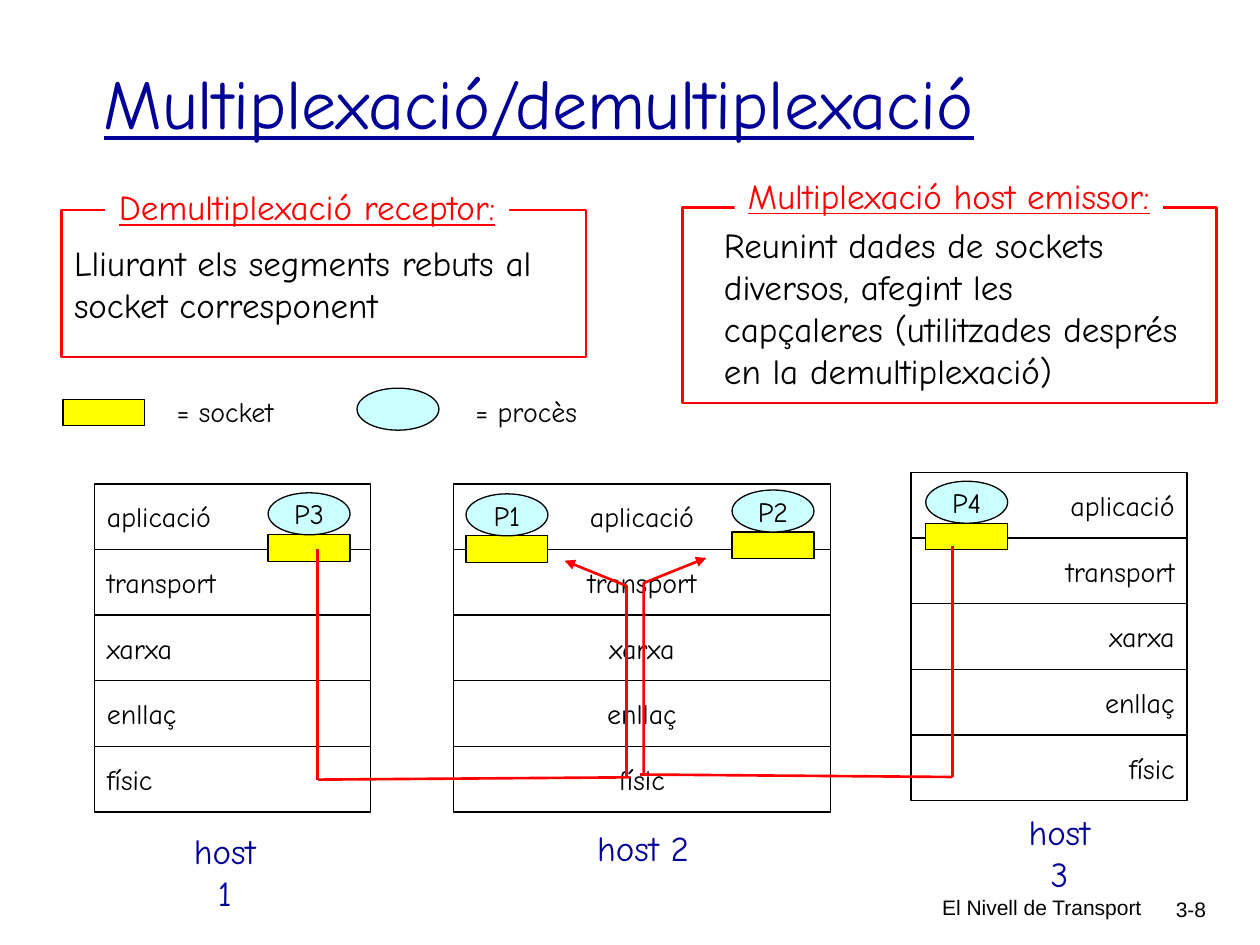
"""Build the slide on transport multiplexing and demultiplexing."""
from lxml.etree import SubElement
from pptx import Presentation
from pptx.dml.color import RGBColor
from pptx.enum.shapes import MSO_CONNECTOR as Link, MSO_SHAPE as Form
from pptx.enum.text import MSO_ANCHOR as Anchor, PP_ALIGN as Align
from pptx.oxml.ns import qn
from pptx.util import Pt

BLACK = RGBColor(0, 0, 0)
WHITE = RGBColor(255, 255, 255)
RED = RGBColor(255, 0, 0)
NAVY = RGBColor(0, 0, 153)
YELLOW = RGBColor(255, 255, 0)
CYAN = RGBColor(204, 255, 255)
FONT = "Comic Neue"

LAYERS = ["aplicació", "transport", "xarxa", "enllaç", "físic"]
ROW = 37.5
SIDE, SOCK, OVAL = 46.8, 15.2, 24

HOSTS = [
    (54, 276.5, 157.7, Align.LEFT),
    (520.6, 270, 157.7, Align.RIGHT),
    (259.2, 276.5, 215.3, Align.CENTER),
]
PROCS = [
    ("P2", 418.3, 280), ("P3", 153.2, 281.6),
    ("P4", 529, 275), ("P1", 266.3, 282.2),
]
NAMES = [
    ("host 1", 96.5, 470.2, 64), ("host 2", 334, 468.8, 67),
    ("host 3", 572.4, 459.5, 66),
]
ROUTES = [
    ((181.6, 313.8), (181.6, 445.5), (360, 444.2),
     [(358, 444.2), (358, 334.8), (322.6, 320.4)]),
    ((544.2, 312), (544.2, 444), (365.8, 442.6),
     [(367.8, 442.4), (367.8, 333.2), (403.6, 318.8)]),
]


def write(item, text, size, color=BLACK, align=Align.CENTER, wrap=False,
          anchor=Anchor.MIDDLE, line=False, font=FONT):
    """Set and format the text of a shape."""
    frame = item.text_frame
    frame.text = text
    frame.word_wrap = wrap
    frame.vertical_anchor = anchor
    for para in frame.paragraphs:
        para.alignment = align
        for run in para.runs:
            run.font.name = font
            run.font.size = Pt(size)
            run.font.color.rgb = color
            run.font.underline = line


def label(slide, text, x, y, w, h, size, **style):
    """Add a text box."""
    item = slide.shapes.add_textbox(Pt(x), Pt(y), Pt(w), Pt(h))
    write(item, text, size, anchor=Anchor.TOP, **style)
    return item


def block(slide, form, x, y, w, h, fill=None, edge=BLACK, width=0.75):
    """Add a preset shape with its fill and outline."""
    item = slide.shapes.add_shape(form, Pt(x), Pt(y), Pt(w), Pt(h))
    item.shadow.inherit = False
    if fill is None:
        item.fill.background()
    else:
        item.fill.solid()
        item.fill.fore_color.rgb = fill
    item.line.color.rgb = edge
    item.line.width = Pt(width)
    return item


def stack(slide, x, y, w, align):
    """Draw the five protocol layers of a host."""
    for row, name in enumerate(LAYERS):
        cell = block(slide, Form.RECTANGLE, x, y + row * ROW, w, ROW, WHITE)
        write(cell, name, 16, align=align, wrap=True)


def socket(slide, x, y):
    """Draw a socket."""
    block(slide, Form.RECTANGLE, x, y, SIDE, SOCK, YELLOW)


def process(slide, x, y):
    """Draw a process."""
    return block(slide, Form.OVAL, x, y, SIDE, OVAL, CYAN)


def panel(slide, x, y, w, h):
    """Draw a red frame."""
    return block(slide, Form.RECTANGLE, x, y, w, h, edge=RED, width=1.5)


def heading(slide, text, x, y, w):
    """Add an underlined heading that covers the frame behind it."""
    item = label(slide, text, x, y, w, 31.7, 20, color=RED, line=True)
    item.fill.solid()
    item.fill.fore_color.rgb = WHITE


def wire(slide, start, end):
    """Draw a straight red line."""
    item = slide.shapes.add_connector(
        Link.STRAIGHT, *(Pt(v) for v in start + end))
    item.line.color.rgb = RED
    item.line.width = Pt(1.5)
    SubElement(item._element.spPr, qn("a:effectLst"))


def arrow(slide, points):
    """Draw a bent red line with an arrowhead at its end."""
    spots = [(Pt(x), Pt(y)) for x, y in points]
    path = slide.shapes.build_freeform(*spots[0])
    path.add_line_segments(spots[1:], close=False)
    item = path.convert_to_shape()
    item.shadow.inherit = False
    item.fill.background()
    item.line.color.rgb = RED
    item.line.width = Pt(1.5)
    SubElement(item.line._get_or_add_ln(), qn("a:tailEnd"), type="triangle")


def route(slide, top, low, end, bend):
    """Draw the way from a socket to a process of host 2."""
    wire(slide, top, low)
    arrow(slide, bend)
    wire(slide, low, end)


def main():
    """Build and save the slide."""
    deck = Presentation()
    deck.slide_width, deck.slide_height = Pt(720), Pt(540)
    slide = deck.slides.add_slide(deck.slide_layouts[5])
    title = slide.shapes.title
    title.left, title.top = Pt(52), Pt(13)
    title.width, title.height = Pt(612), Pt(90)
    write(title, "Multiplexació/demultiplexació", 40, NAVY, Align.LEFT,
          wrap=True, line=True)

    foot = {"align": Align.RIGHT, "wrap": True, "font": "Arial"}
    label(slide, "El Nivell de Transport", 431.3, 507.6, 228.2, 22, 12, **foot)
    label(slide, "3-8", 643, 509, 53.3, 22, 12, **foot)

    for host in HOSTS:
        stack(slide, *host)
    for name, x, y in PROCS:
        socket(slide, x, y + OVAL)
        write(process(slide, x, y), name, 16)
    for name, x, y, w in NAMES:
        label(slide, name, x, y, w, 31.7, 20, color=NAVY)

    socket(slide, 36, 228.2)
    label(slide, "= socket", 93.6, 221.8, 70, 26.6, 16)
    process(slide, 204, 221.8)
    label(slide, "= procès", 264.2, 221.8, 73, 26.6, 16)

    left = panel(slide, 35.2, 120, 299.6, 84)
    write(left, "Lliurant els segments rebuts al\nsocket corresponent", 20,
          align=Align.LEFT, wrap=True)
    heading(slide, "Demultiplexació receptor:", 60, 102.4, 231)

    label(slide, "Reunint dades de sockets\ndiversos, afegint les\n"
          "capçaleres (utilitzades després\nen la demultiplexació)",
          406.6, 124, 275, 103.7, 20, align=Align.LEFT)
    panel(slide, 390, 118.6, 305.3, 111.8)
    heading(slide, "Multiplexació host emissor:", 419.8, 96, 244.8)

    for way in ROUTES:
        route(slide, *way)
    deck.save("out.pptx")


if __name__ == "__main__":
    main()
